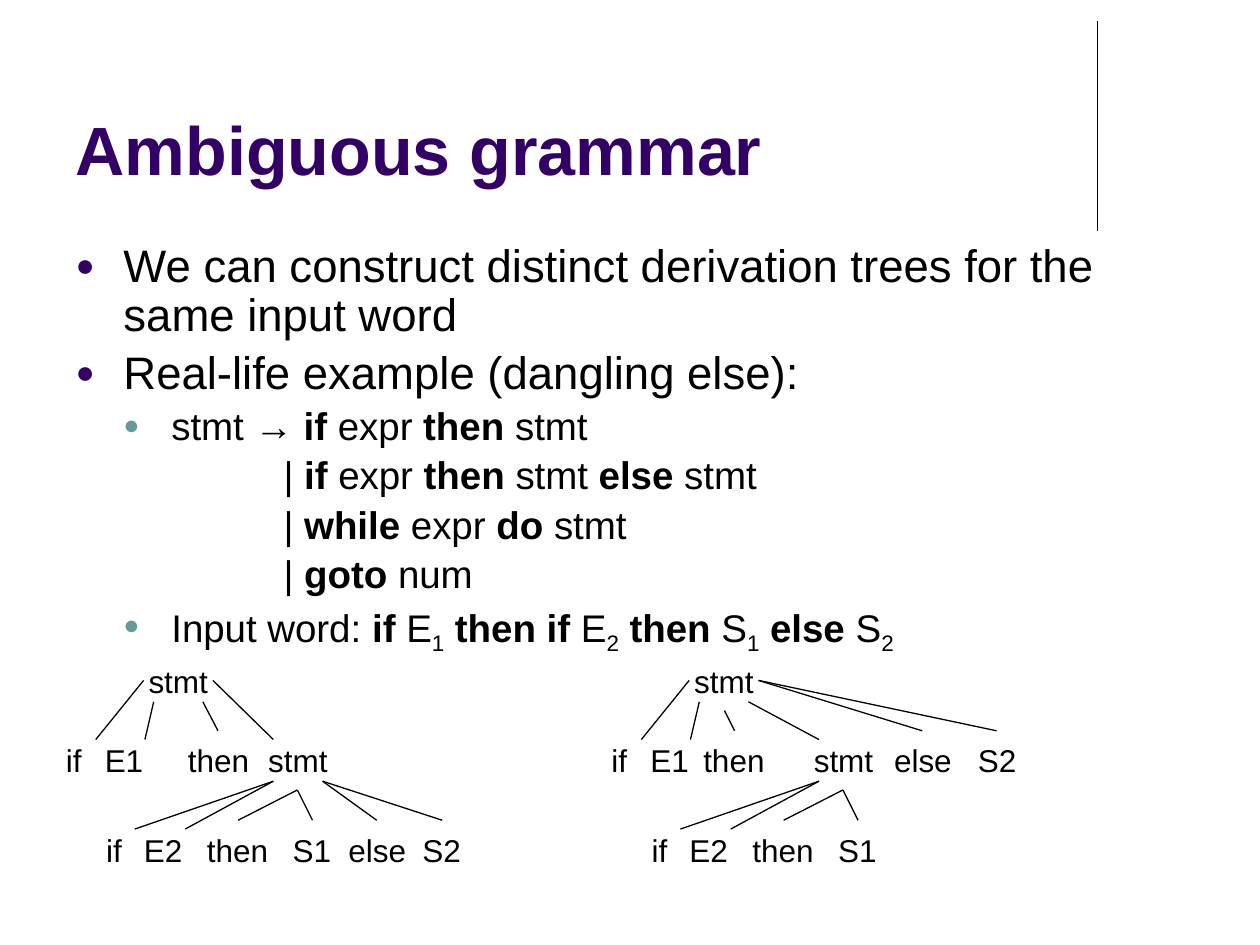
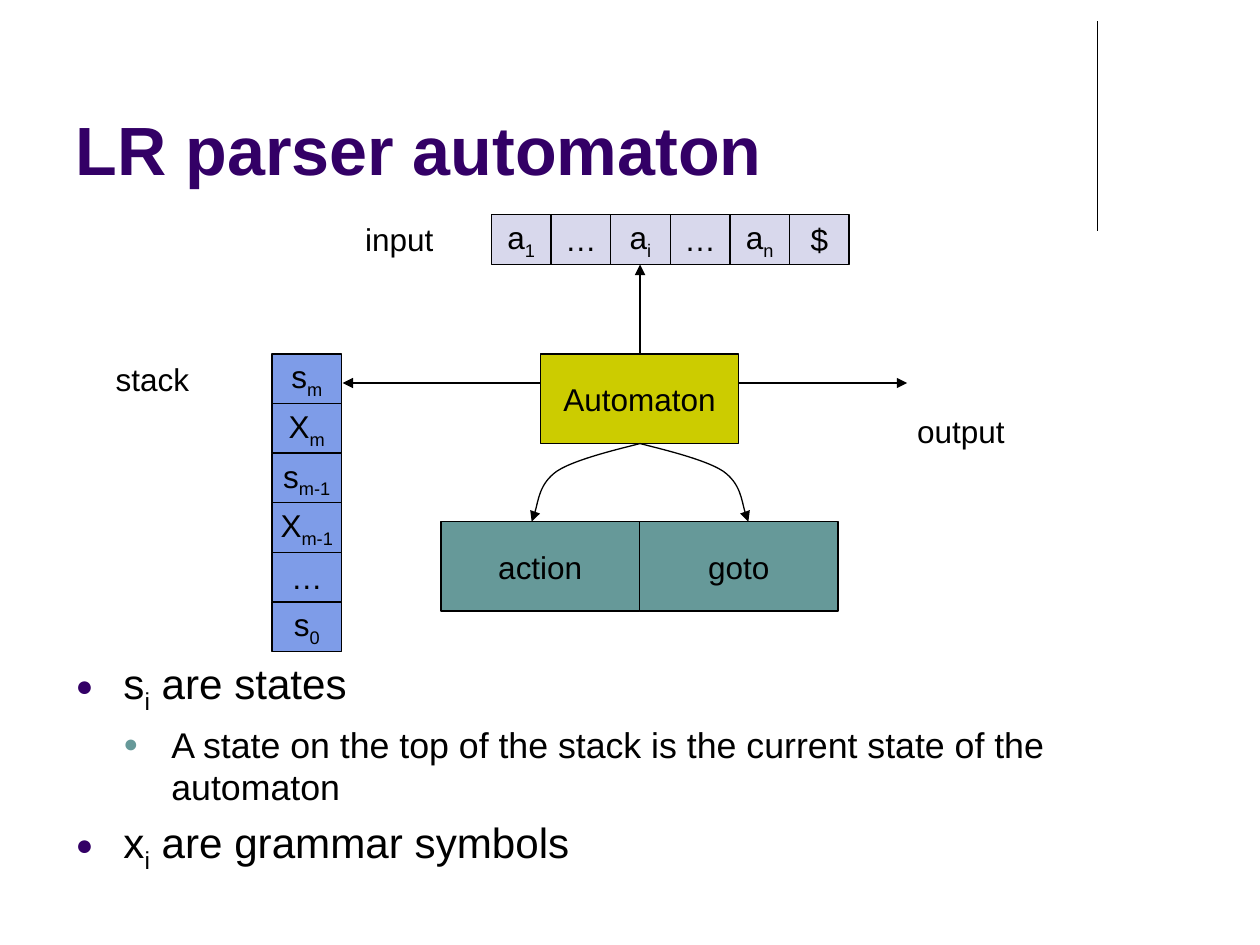
from typing import NamedTuple

from lxml.etree import SubElement
from pptx import Presentation
from pptx.dml.color import RGBColor
from pptx.enum.shapes import MSO_CONNECTOR, MSO_SHAPE
from pptx.enum.text import MSO_ANCHOR, MSO_AUTO_SIZE, PP_ALIGN
from pptx.oxml.ns import qn
from pptx.util import Inches, Pt

FONT = "Arial"
LABEL_SIZE = 18
COLORS = {
    "ink": "000000",
    "title": "330066",
    "sub_bullet": "669999",
    "automaton": "CCCC00",
    "tables": "669999",
    "input": "D8D8EC",
    "stack": "7E9CE8",
}
Point = tuple[float, float]


class Bullet(NamedTuple):
    text: str
    level: int = 0
    marked: bool = True


class Node(NamedTuple):
    text: str
    left: float
    top: float


class Edge(NamedTuple):
    start: Point
    end: Point


class Strip(NamedTuple):
    """A row or column of equal cells sharing one outer box."""
    labels: list[str]
    left: float
    top: float
    width: float
    height: float
    color: str
    vertical: bool = False


def rgb(name: str) -> RGBColor:
    return RGBColor.from_string(COLORS[name])


def write(paragraph, text: str, size: float, color: str = "ink", bold: bool | None = None) -> None:
    """Fill a paragraph; *stars* mark bold text and _underscores_ mark subscripts."""
    font = paragraph.font
    font.name, font.size, font.bold = FONT, Pt(size), bold
    font.color.rgb = rgb(color)
    for i, part in enumerate(text.split("*")):
        for j, piece in enumerate(part.split("_")):
            if not piece:
                continue
            run = paragraph.add_run()
            run.text = piece
            if i % 2:
                run.font.bold = True
            if j % 2:
                run._r.get_or_add_rPr().set("baseline", "-25000")


def place(shape, left: float, top: float, width: float, height: float) -> None:
    shape.left, shape.top = Inches(left), Inches(top)
    shape.width, shape.height = Inches(width), Inches(height)


def set_bullet(paragraph, bullet: Bullet) -> None:
    props = paragraph._p.get_or_add_pPr()
    hang = Inches(0.38)
    if not bullet.marked:
        props.set("marL", str(Inches(1.65)))
        props.set("indent", "0")
        props.insert_element_before(SubElement(props, qn("a:buNone")), "a:tabLst", "a:defRPr")
        return
    props.set("marL", str(hang * (bullet.level + 1)))
    props.set("indent", str(-hang))
    color = COLORS["sub_bullet" if bullet.level else "title"]
    marker = SubElement(props, qn("a:buClr"))
    SubElement(marker, qn("a:srgbClr"), val=color)
    parts = [
        marker,
        SubElement(props, qn("a:buSzPct"), val="70000"),
        SubElement(props, qn("a:buFont"), typeface=FONT),
        SubElement(props, qn("a:buChar"), char="●"),
    ]
    for part in parts:
        props.insert_element_before(part, "a:tabLst", "a:defRPr")


def add_line(slide, edge: Edge, arrow: bool = False) -> None:
    ends = [Inches(value) for point in edge for value in point]
    style_line(slide.shapes.add_connector(MSO_CONNECTOR.STRAIGHT, *ends), arrow)


def style_line(shape, arrow: bool) -> None:
    shape.line.color.rgb = rgb("ink")
    shape.line.width = Pt(0.75)
    props = shape._element.spPr
    if arrow:
        SubElement(props.find(qn("a:ln")), qn("a:tailEnd"), type="triangle")
    SubElement(props, qn("a:effectLst"))


def add_curve(slide, points: list[Point]) -> None:
    """Draw an arrow along cubic curves: a start, then three points per curve."""
    start, *controls = [(Inches(x), Inches(y)) for x, y in points]
    builder = slide.shapes.build_freeform(*start)
    builder.add_line_segments(controls, close=False)
    curve = builder.convert_to_shape()
    curve.fill.background()
    style_line(curve, arrow=True)
    outline = next(curve._element.iter(qn("a:path")))
    steps = outline.findall(qn("a:lnTo"))
    for first in range(0, len(steps), 3):
        cubic = SubElement(outline, qn("a:cubicBezTo"))
        for step in steps[first:first + 3]:
            cubic.append(step[0])
            outline.remove(step)


def add_label(slide, text: str, kind: MSO_SHAPE, box: tuple[float, ...], color: str | None = None) -> None:
    """Add a shape with centred text, outlined only when it has a fill colour."""
    shape = slide.shapes.add_shape(kind, *map(Inches, box))
    if color:
        shape.fill.solid()
        shape.fill.fore_color.rgb = rgb(color)
        shape.line.color.rgb = rgb("ink")
        shape.line.width = Pt(0.75)
    else:
        shape.fill.background()
        shape.line.fill.background()
    shape.shadow.inherit = False
    frame = shape.text_frame
    frame.word_wrap = False
    frame.vertical_anchor = MSO_ANCHOR.MIDDLE
    frame.paragraphs[0].alignment = PP_ALIGN.CENTER
    write(frame.paragraphs[0], text, LABEL_SIZE)


def add_strip(slide, strip: Strip) -> None:
    count = len(strip.labels)
    width = strip.width if strip.vertical else strip.width / count
    height = strip.height / count if strip.vertical else strip.height
    for i, text in enumerate(strip.labels):
        left = strip.left + (0 if strip.vertical else i * width)
        top = strip.top + (i * height if strip.vertical else 0)
        add_label(slide, text, MSO_SHAPE.RECTANGLE, (left, top, width, height), strip.color)


def add_caption(slide, text: str, left: float, top: float, width: float) -> None:
    frame = slide.shapes.add_textbox(Inches(left), Inches(top), Inches(width), Inches(0.4)).text_frame
    frame.word_wrap = False
    frame.auto_size = MSO_AUTO_SIZE.SHAPE_TO_FIT_TEXT
    write(frame.paragraphs[0], text, LABEL_SIZE)


def add_tree(slide, offset: float, nodes: list[Node], edges: list[Edge]) -> None:
    for (x1, y1), (x2, y2) in edges:
        add_line(slide, Edge((x1 + offset, y1), (x2 + offset, y2)))
    for text, left, top in nodes:
        width = 0.55 if len(text) == 4 else 0.47
        add_label(slide, text, MSO_SHAPE.OVAL, (left + offset, top, width, 0.47))


def add_content_slide(deck, heading: str, bullets: list[Bullet], top: float, height: float,
                      sizes: tuple[float, float], spacing: float):
    slide = deck.slides.add_slide(deck.slide_layouts[1])
    add_line(slide, Edge((8.71, 0.17), (8.71, 1.83)))
    title, body = slide.placeholders
    place(title, 0.5, 0.13, 8.25, 1.42)
    title.text_frame.vertical_anchor = MSO_ANCHOR.BOTTOM
    title.text_frame.auto_size = MSO_AUTO_SIZE.NONE
    title.text_frame.paragraphs[0].alignment = PP_ALIGN.LEFT
    write(title.text_frame.paragraphs[0], heading, 39, "title", bold=True)

    place(body, 0.5, top, 9, height)
    frame = body.text_frame
    frame.auto_size = MSO_AUTO_SIZE.NONE
    for i, bullet in enumerate(bullets):
        paragraph = frame.add_paragraph() if i else frame.paragraphs[0]
        paragraph.level = bullet.level
        paragraph.line_spacing = spacing
        write(paragraph, bullet.text, sizes[bullet.level])
        set_bullet(paragraph, bullet)
    return slide


def add_grammar_slide(deck) -> None:
    slide = add_content_slide(deck, "Ambiguous grammar", [
        Bullet("We can construct distinct derivation trees for the same input word"),
        Bullet("Real-life example (dangling else):"),
        Bullet("stmt → *if *expr *then *stmt", 1),
        Bullet("| *if *expr *then *stmt *else *stmt", 1, False),
        Bullet("| *while* expr *do *stmt", 1, False),
        Bullet("| *goto *num", 1, False),
        Bullet("Input word: *if* E_1_ *then if* E_2_ *then* S_1_ *else* S_2_", 1),
    ], top=1.88, height=3.44, sizes=(26, 22), spacing=0.9)

    root, middle, leaves = 5.17, 5.8, 6.51
    shared_nodes = [
        Node("stmt", 1.14, root),
        Node("if", 0.35, middle), Node("E1", 0.75, middle), Node("stmt", 2.09, middle),
        Node("if", 0.67, leaves), Node("E2", 1.06, leaves),
        Node("then", 1.61, leaves), Node("S1", 2.24, leaves),
    ]
    shared_edges = [
        Edge((1.14, 5.4), (0.76, 5.87)), Edge((1.22, 5.57), (1.15, 5.87)),
        Edge((2.17, 6.2), (1.07, 6.58)), Edge((2.17, 6.2), (1.47, 6.58)),
        Edge((2.36, 6.27), (1.89, leaves)), Edge((2.36, 6.27), (2.48, leaves)),
    ]
    inner_else_nodes = [Node("then", 1.46, middle), Node("else", 2.72, leaves), Node("S2", 3.27, leaves)]
    inner_else_edges = [
        Edge((1.61, 5.57), (1.73, middle)), Edge((1.69, 5.4), (2.17, 5.87)),
        Edge((2.56, 6.2), (2.99, leaves)), Edge((2.56, 6.2), (3.51, leaves)),
    ]
    outer_else_nodes = [Node("then", 1.22, middle), Node("else", 2.72, middle), Node("S2", 3.35, middle)]
    outer_else_edges = [
        Edge((1.42, 5.64), (1.5, middle)), Edge((1.61, 5.57), (2.17, 5.87)),
        Edge((1.69, 5.4), (2.99, middle)), Edge((1.69, 5.4), (3.58, middle)),
    ]
    add_tree(slide, 0, shared_nodes + inner_else_nodes, shared_edges + inner_else_edges)
    add_tree(slide, 4.33, shared_nodes + outer_else_nodes, shared_edges + outer_else_edges)


def add_automaton_slide(deck) -> None:
    slide = add_content_slide(deck, "LR parser automaton", [
        Bullet("s_i_ are states"),
        Bullet("A state on the top of the stack is the current state of the automaton", 1),
        Bullet("x_i_ are grammar symbols"),
    ], top=5.17, height=1.58, sizes=(24.1, 20.4), spacing=1.0)

    for strip in (
        Strip(["a_1_", "…", "a_i_", "…", "a_n_", "$"], 3.9, 1.7, 2.84, 0.4, "input"),
        Strip(["s_m_", "X_m_", "s_m-1_", "X_m-1_", "…", "s_0_"], 2.16, 2.81, 0.55, 2.36, "stack", True),
        Strip(["Automaton"], 4.29, 2.81, 1.57, 0.71, "automaton"),
        Strip(["action", "goto"], 3.5, 4.14, 3.15, 0.71, "tables"),
    ):
        add_strip(slide, strip)

    center = 5.08
    for edge in (
        Edge((center, 2.81), (center, 2.1)),
        Edge((4.29, 3.04), (2.72, 3.04)),
        Edge((5.86, 3.04), (7.2, 3.04)),
    ):
        add_line(slide, edge, arrow=True)
    bend = [(0, 3.52), (0.11, 3.55), (0.51, 3.64), (0.66, 3.74), (0.8, 3.84), (0.82, 4.06), (0.86, 4.14)]
    for side in (-1, 1):
        add_curve(slide, [(center + side * reach, y) for reach, y in bend])

    add_caption(slide, "input", 2.8, 1.7, 0.75)
    add_caption(slide, "stack", 0.82, 2.81, 0.79)
    add_caption(slide, "output", 7.18, 3.22, 0.9)


def main() -> None:
    deck = Presentation()
    deck.slide_width, deck.slide_height = Inches(10), Inches(7.5)
    add_grammar_slide(deck)
    add_automaton_slide(deck)
    deck.save("out.pptx")


if __name__ == "__main__":
    main()
